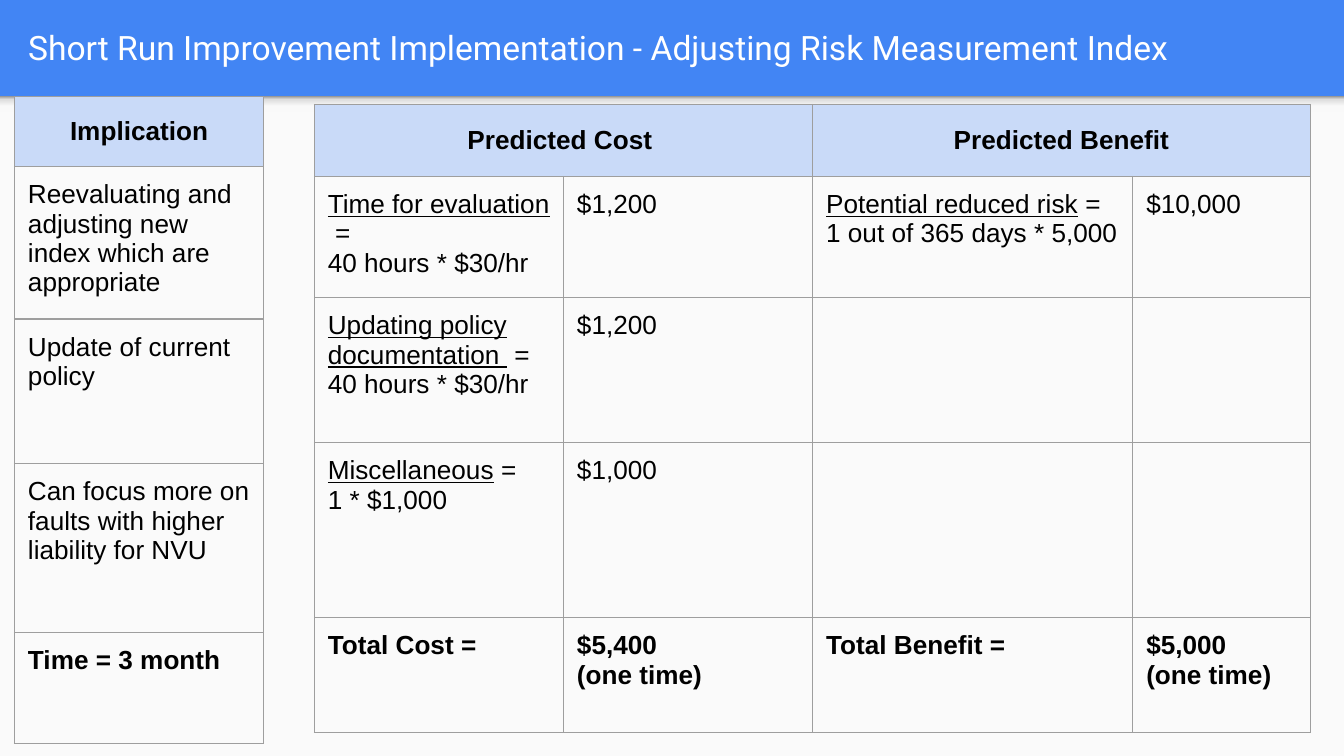
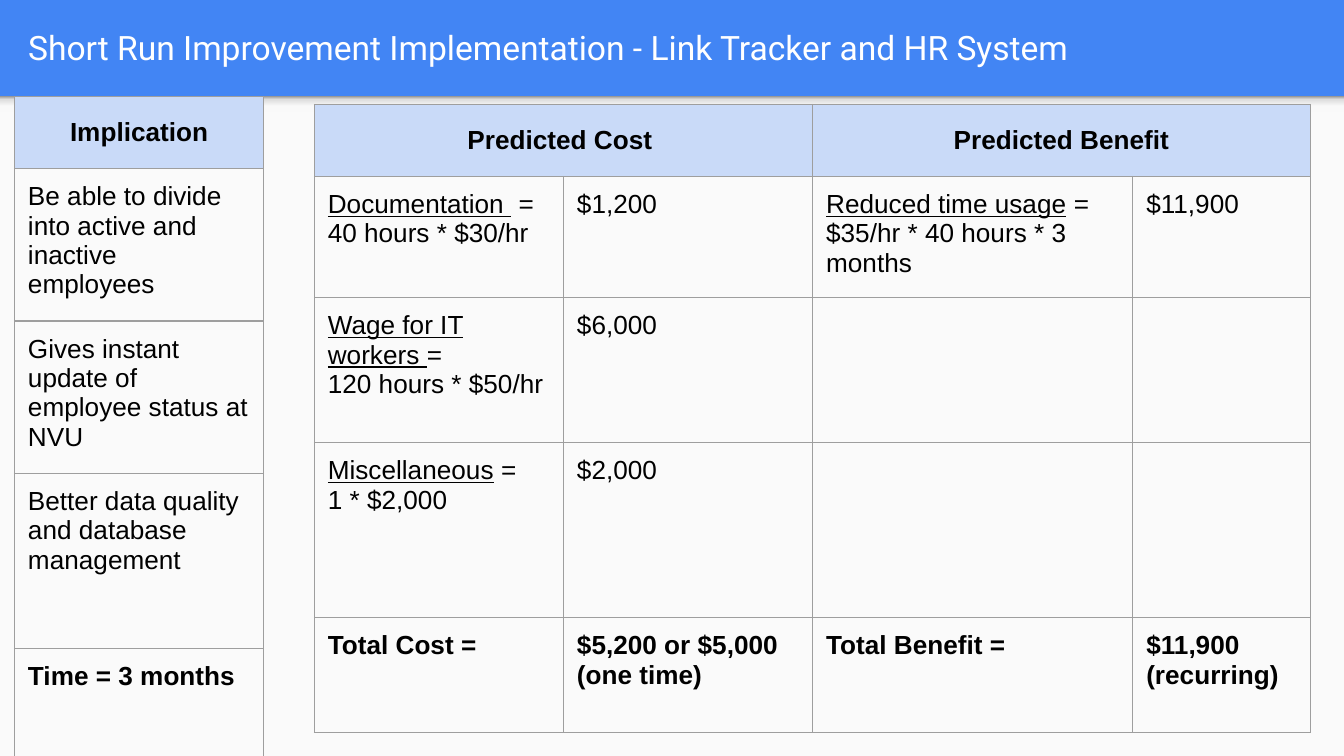
from dataclasses import dataclass

from lxml.etree import SubElement
from pptx import Presentation
from pptx.dml.color import RGBColor
from pptx.enum.shapes import MSO_SHAPE as Preset
from pptx.enum.text import MSO_ANCHOR as Anchor, PP_ALIGN as Align
from pptx.oxml.ns import qn
from pptx.util import Pt


@dataclass(frozen=True)
class Theme:
    banner: str = "4285F4"
    paper: str = "FAFAFA"
    header: str = "C9DAF8"
    border: str = "9E9E9E"
    ink: str = "000000"
    title_ink: str = "FFFFFF"
    band_stops: tuple = ((0, "F9F9F9"), (36, "F9F9F9"), (80, "DEDEDE"), (100, "999999"))
    title_font: str = "Roboto"
    body_font: str = "Arial"
    title_size: float = 18
    body_size: float = 14
    border_width: float = 0.75
    inset: float = 7.2


THEME = Theme()
WIDTH, HEIGHT = 720, 405

# Boxes are left, top, width, height
PAPER_BOX = (0, 51.6, WIDTH, HEIGHT - 51.6)
BAND_BOX = (0, 51.6, WIDTH, 8.6)
TITLE_BOX = (8, 1.4, 695, 47.5)
BUDGET_ORIGIN = (168.4, 56)
IMPLICATION_ORIGIN = (7.8, 51.8)

BUDGET_COLUMNS = (133.5, 133.5, 171.5, 95)
IMPLICATION_COLUMNS = (133.5,)
STANDARD_ROWS = (38.5, 61.6, 77.7, 93.8, 61.6)

# Text between underscores is underlined
SLIDES = [
    {
        "title": "Short Run Improvement Implementation - Adjusting Risk Measurement Index",
        "implication_rows": (37.5, 77.5, 77.5, 90.4, 59.6),
        "implications": [
            "Reevaluating and adjusting new index which are appropriate",
            "Update of current policy",
            "Can focus more on faults with higher liability for NVU",
            "Time = 3 month",
        ],
        "budget": [
            ("_Time for evaluation _ =\n40 hours * $30/hr", "$1,200",
             "_Potential reduced risk_ =\n1 out of 365 days * 5,000", "$10,000"),
            ("_Updating policy documentation _ =\n40 hours * $30/hr", "$1,200", "", ""),
            ("_Miscellaneous_ =\n1 * $1,000", "$1,000", "", ""),
            ("Total Cost =", "$5,400\n(one time)",
             "Total Benefit =", "$5,000\n(one time)"),
        ],
    },
    {
        "title": "Short Run Improvement Implementation - Link Tracker and HR System",
        "implication_rows": STANDARD_ROWS,
        "implications": [
            "Be able to divide into active and inactive employees",
            "Gives instant update of employee status at NVU",
            "Better data quality and database management",
            "Time = 3 months",
        ],
        "budget": [
            ("_Documentation _ =\n40 hours * $30/hr", "$1,200",
             "_Reduced time usage_ =\n$35/hr * 40 hours * 3 months", "$11,900"),
            ("_Wage for IT workers _=\n120 hours * $50/hr", "$6,000", "", ""),
            ("_Miscellaneous_ =\n1 * $2,000", "$2,000", "", ""),
            ("Total Cost =", "$5,200 or $5,000\n(one time)",
             "Total Benefit =", "$11,900\n(recurring)"),
        ],
    },
]


def color(value):
    return RGBColor.from_string(value)


def points(values):
    return [Pt(value) for value in values]


def write_text(frame, text, *, font=THEME.body_font, size=THEME.body_size,
               ink=THEME.ink, bold=False, align=Align.LEFT):
    for index, line in enumerate(text.split("\n")):
        paragraph = frame.add_paragraph() if index else frame.paragraphs[0]
        paragraph.alignment = align
        for position, piece in enumerate(line.split("_")):
            if not piece:
                continue
            run = paragraph.add_run()
            run.text = piece
            run.font.name, run.font.size = font, Pt(size)
            run.font.bold, run.font.underline = bold, position % 2 == 1
            run.font.color.rgb = color(ink)


def set_insets(target):
    for side in ("left", "right", "top", "bottom"):
        setattr(target, f"margin_{side}", Pt(THEME.inset))


def add_rectangle(slide, box):
    shape = slide.shapes.add_shape(Preset.RECTANGLE, *points(box))
    shape.shadow.inherit = False
    shape.line.fill.background()
    return shape


def add_backdrop(slide):
    background = slide.background.fill
    background.solid()
    background.fore_color.rgb = color(THEME.banner)

    paper = add_rectangle(slide, PAPER_BOX)
    paper.fill.solid()
    paper.fill.fore_color.rgb = color(THEME.paper)

    # Soft shade under the banner, darkest at its top
    band = add_rectangle(slide, BAND_BOX)
    band.fill.gradient()
    band.fill.gradient_angle = 90
    stops = band._element.spPr.find(qn("a:gradFill")).find(qn("a:gsLst"))
    for stop in list(stops):
        stops.remove(stop)
    for percent, shade in THEME.band_stops:
        stop = SubElement(stops, qn("a:gs"), pos=str(percent * 1000))
        SubElement(stop, qn("a:srgbClr"), val=shade)


def add_title(slide, text, box):
    frame = slide.shapes.add_textbox(*points(box)).text_frame
    frame.word_wrap = True
    frame.vertical_anchor = Anchor.MIDDLE
    set_insets(frame)
    write_text(frame, text, font=THEME.title_font, size=THEME.title_size,
               ink=THEME.title_ink)


def add_borders(cell):
    properties = cell._tc.get_or_add_tcPr()
    for side in ("L", "R", "T", "B"):
        line = SubElement(properties, qn(f"a:ln{side}"), w=str(Pt(THEME.border_width)))
        fill = SubElement(line, qn("a:solidFill"))
        SubElement(fill, qn("a:srgbClr"), val=THEME.border)


def add_grid(slide, origin, columns, rows, contents):
    """The first row is a header and the last row holds totals."""
    frame = slide.shapes.add_table(len(rows), len(columns),
                                   *points((*origin, sum(columns), sum(rows))))
    table = frame.table
    table.first_row = table.horz_banding = False
    for column, width in zip(table.columns, columns):
        column.width = Pt(width)
    for row, height in zip(table.rows, rows):
        row.height = Pt(height)

    for row_index, texts in enumerate(contents):
        is_header = row_index == 0
        is_total = row_index == len(rows) - 1
        for column_index, text in enumerate(texts):
            cell = table.cell(row_index, column_index)
            set_insets(cell)
            add_borders(cell)
            if is_header:
                cell.fill.solid()
                cell.fill.fore_color.rgb = color(THEME.header)
            else:
                cell.fill.background()
            cell.vertical_anchor = Anchor.MIDDLE if is_header else Anchor.TOP
            write_text(cell.text_frame, text, bold=is_header or is_total,
                       align=Align.CENTER if is_header else Align.LEFT)
    return table


def add_budget(slide, origin, items):
    header = ("Predicted Cost ", "", "Predicted Benefit", "")
    table = add_grid(slide, origin, BUDGET_COLUMNS, STANDARD_ROWS, [header, *items])
    for start in (0, 2):
        table.cell(0, start).merge(table.cell(0, start + 1))


def add_implications(slide, origin, rows, items):
    contents = [(text,) for text in ("Implication", *items)]
    add_grid(slide, origin, IMPLICATION_COLUMNS, rows, contents)


def add_improvement_slide(presentation, content):
    slide = presentation.slides.add_slide(presentation.slide_layouts[6])
    add_backdrop(slide)
    add_title(slide, content["title"], TITLE_BOX)
    add_budget(slide, BUDGET_ORIGIN, content["budget"])
    add_implications(slide, IMPLICATION_ORIGIN, content["implication_rows"],
                     content["implications"])


def main():
    presentation = Presentation()
    presentation.slide_width, presentation.slide_height = Pt(WIDTH), Pt(HEIGHT)
    for content in SLIDES:
        add_improvement_slide(presentation, content)
    presentation.save("out.pptx")


if __name__ == "__main__":
    main()
